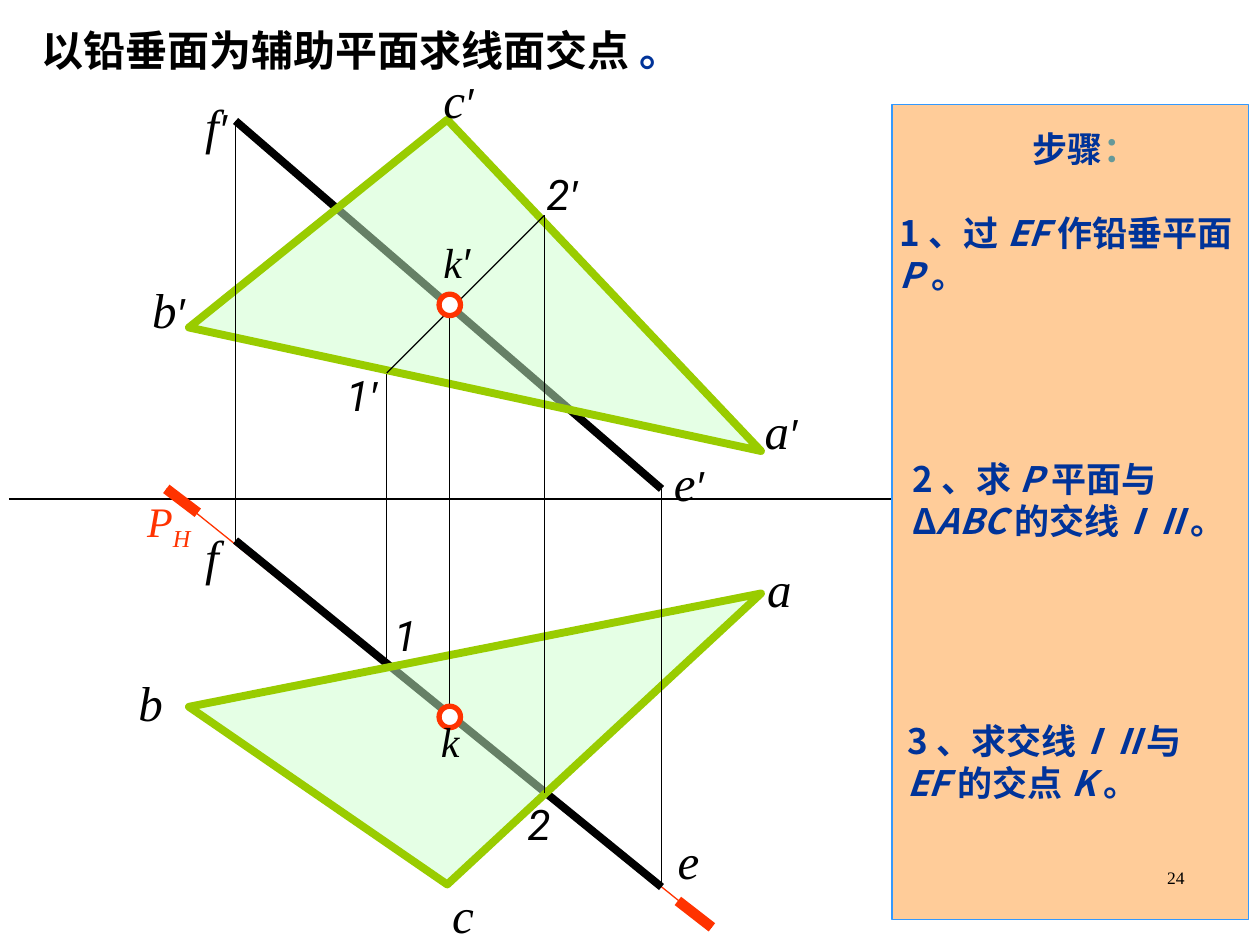
from pptx import Presentation
from pptx.dml.color import RGBColor
from pptx.enum.shapes import MSO_CONNECTOR, MSO_SHAPE
from pptx.enum.text import MSO_ANCHOR, PP_ALIGN
from pptx.oxml.ns import qn
from pptx.util import Inches, Pt
from lxml import etree

STRAIGHT = MSO_CONNECTOR.STRAIGHT
RECT, OVAL = MSO_SHAPE.RECTANGLE, MSO_SHAPE.OVAL
LEFT, CENTER, RIGHT = PP_ALIGN.LEFT, PP_ALIGN.CENTER, PP_ALIGN.RIGHT

COLORS = {"black": "000000", "red": "FF3300", "green": "99CC00", "mint": "CCFFCC",
          "navy": "003399", "teal": "669999", "peach": "FFCC99", "sky": "3399FF",
          "white": "FFFFFF"}
CJK, SERIF, SANS, PRIME = "Noto Sans CJK SC", "Times New Roman", "Roboto", "Arial"
THIN, THICK, TRACE, RING = 0.75, 4.5, 6, 3

# Points of the drawing; the suffix 1 marks the front view
POINTS = {
    "f1": (1.87, 0.96), "e1": (5.25, 3.88), "f": (1.87, 4.29), "e": (5.25, 7.04),
    "a1": (6.04, 3.58), "b1": (1.5, 2.6), "c1": (3.55, 0.95),
    "a": (6.04, 4.71), "b": (1.5, 5.61), "c": (3.55, 7.02),
    "one1": (3.07, 2.96), "two1": (4.32, 1.71), "one": (3.07, 5.29), "two": (4.32, 6.29),
    "k1": (3.57, 2.42), "k": (3.57, 5.69),
    "axis_l": (0.07, 3.96), "axis_r": (7.11, 3.96),
    "p_start": (1.32, 3.88), "p_start_in": (1.57, 4.07),
    "p_end_in": (5.38, 7.15), "p_end": (5.65, 7.36),
}
BACK_LINES = [
    ("axis_l", "axis_r", "black", THIN), ("p_start", "p_end", "red", THIN),
    ("p_start", "p_start_in", "red", TRACE), ("p_end", "p_end_in", "red", TRACE),
    ("one", "one1", "black", THIN), ("f1", "e1", "black", THICK), ("f", "e", "black", THICK),
]
TRIANGLES = [("b1", "c1", "a1"), ("c", "b", "a")]
FRONT_LINES = [("e1", "e"), ("f1", "f"), ("one1", "two1"), ("k1", "k"), ("two", "two1")]

# Labels: letter, primed, left, top, width, size, font
LABELS = [
    ("f", True, 1.53, 0.71, 1.15, 28, SERIF), ("e", True, 5.25, 3.54, 0.8, 28, SERIF),
    ("a", True, 5.97, 3.13, 0.78, 28, SERIF), ("b", True, 1.11, 2.17, 1.17, 28, SERIF),
    ("c", True, 3.42, 0.5, 0.72, 28, SERIF), ("k", True, 3.42, 1.83, 0.81, 24, SERIF),
    ("1", True, 2.65, 2.88, 0.83, 24, SANS), ("2", True, 4.24, 1.29, 0.83, 24, SANS),
    ("f", False, 1.53, 4.13, 0.56, 28, SERIF), ("e", False, 5.28, 6.54, 0.56, 28, SERIF),
    ("a", False, 5.99, 4.38, 0.69, 28, SERIF), ("b", False, 1, 5.29, 1.1, 28, SERIF),
    ("c", False, 3.49, 6.97, 0.69, 28, SERIF), ("k", False, 3.4, 5.63, 0.4, 24, SERIF),
    ("1", False, 3.03, 4.79, 0.67, 24, SANS), ("2", False, 4.09, 6.29, 0.5, 24, SANS),
]
TITLE = [("以铅垂面为辅助平面求线面交点 ", "black"), ("。", "navy")]
HEADING = [("步骤", "navy"), ("：", "teal")]
# Steps: box and text pieces, every second piece italic
STEPS = [
    ((7.04, 0.96, 3.15, 1.44), ["1、过", "EF", "作铅垂平面", "P", "。"]),
    ((7.14, 3.58, 2.72, 0.77), ["2、求", "P", "平面与Δ", "ABC", "的交线", "ⅠⅡ", "。"]),
    ((7.1, 5.66, 2.72, 0.77), ["3、求交线", "ⅠⅡ", "与", "EF", "的交点", "K", "。"]),
]


def rgb(name):
    return RGBColor.from_string(COLORS[name])


def add_run(p, text, size, font, color="black", bold=False, italic=False):
    r = p.add_run()
    r.text = text
    f = r.font
    f.size, f.name, f.bold, f.italic = Pt(size), font, bold, italic
    f.color.rgb = rgb(color)
    if font == CJK:
        etree.SubElement(r.font._element, qn("a:ea")).set("typeface", font)
    return r


def add_text(s, box):
    tf = s.shapes.add_textbox(*map(Inches, box)).text_frame
    tf.word_wrap = True
    return tf


def add_line(s, start, end, color="black", width=THIN):
    ln = s.shapes.add_connector(STRAIGHT, *map(Inches, POINTS[start] + POINTS[end]))
    ln.line.color.rgb, ln.line.width = rgb(color), Pt(width)
    etree.SubElement(ln._element.spPr, qn("a:effectLst"))


def paint(sp, fill, line, width):
    sp.shadow.inherit = False
    sp.fill.solid()
    sp.fill.fore_color.rgb = rgb(fill)
    sp.line.color.rgb, sp.line.width = rgb(line), Pt(width)


def add_triangle(s, names):
    pts = [tuple(map(Inches, POINTS[n])) for n in names]
    fb = s.shapes.build_freeform(*pts[0])
    fb.add_line_segments(pts[1:], close=True)
    sp = fb.convert_to_shape()
    paint(sp, "mint", "green", THICK)
    color = sp._element.spPr.find(qn("a:solidFill"))[0]
    etree.SubElement(color, qn("a:alpha")).set("val", "50000")


def main():
    prs = Presentation()
    prs.slide_width, prs.slide_height = Inches(10), Inches(7.5)
    s = prs.slides.add_slide(prs.slide_layouts[5])

    # Title
    sp = s.shapes.title
    sp.left, sp.top, sp.width, sp.height = map(Inches, (0.23, 0.14, 5.36, 0.5))
    tf = sp.text_frame
    tf.word_wrap, tf.vertical_anchor = False, MSO_ANCHOR.TOP
    p = tf.paragraphs[0]
    p.alignment, p.line_spacing = LEFT, Pt(29)
    for text, color in TITLE:
        add_run(p, text, 24, CJK, color, bold=True)

    # Projection drawing
    for line in BACK_LINES:
        add_line(s, *line)
    for names in TRIANGLES:
        add_triangle(s, names)
    for line in FRONT_LINES:
        add_line(s, *line)
    d = 0.17
    for name in ("k1", "k"):
        x, y = POINTS[name]
        sp = s.shapes.add_shape(OVAL, *map(Inches, (x - d / 2, y - d / 2, d, d)))
        paint(sp, "white", "red", RING)

    # Point labels and the trace of plane P
    for letter, primed, x, y, w, size, font in LABELS:
        p = add_text(s, (x, y, w, 0.57 if size == 28 else 0.5)).paragraphs[0]
        add_run(p, letter, size, font, italic=True)
        if primed:
            add_run(p, "′", 24, PRIME, italic=True)
    p = add_text(s, (1.07, 3.88, 0.75, 0.56)).paragraphs[0]
    add_run(p, "P", 24, SERIF, "red", italic=True)
    r = add_run(p, "H", 24, SERIF, "red", italic=True)
    r.font._element.set("baseline", "-25000")

    # Steps panel
    panel = s.shapes.add_shape(RECT, *map(Inches, (7.08, 0.83, 2.83, 6.47)))
    paint(panel, "peach", "sky", THIN)
    for i, (box, pieces) in enumerate(STEPS):
        tf = add_text(s, box)
        p = tf.paragraphs[0]
        if i == 0:
            p.alignment, p.line_spacing = CENTER, Pt(24)
            for text, color in HEADING:
                add_run(p, text, 20, CJK, color, bold=True)
            p = tf.add_paragraph()
            p.space_before = Pt(24)
        p.line_spacing = Pt(24)
        for j, text in enumerate(pieces):
            add_run(p, text, 20, CJK, "navy", bold=True, italic=j % 2 == 1)

    # Slide number
    p = add_text(s, (7.17, 6.83, 2.33, 0.5)).paragraphs[0]
    p.alignment = RIGHT
    add_run(p, "24", 10, SERIF)

    prs.save("out.pptx")


if __name__ == "__main__":
    main()
